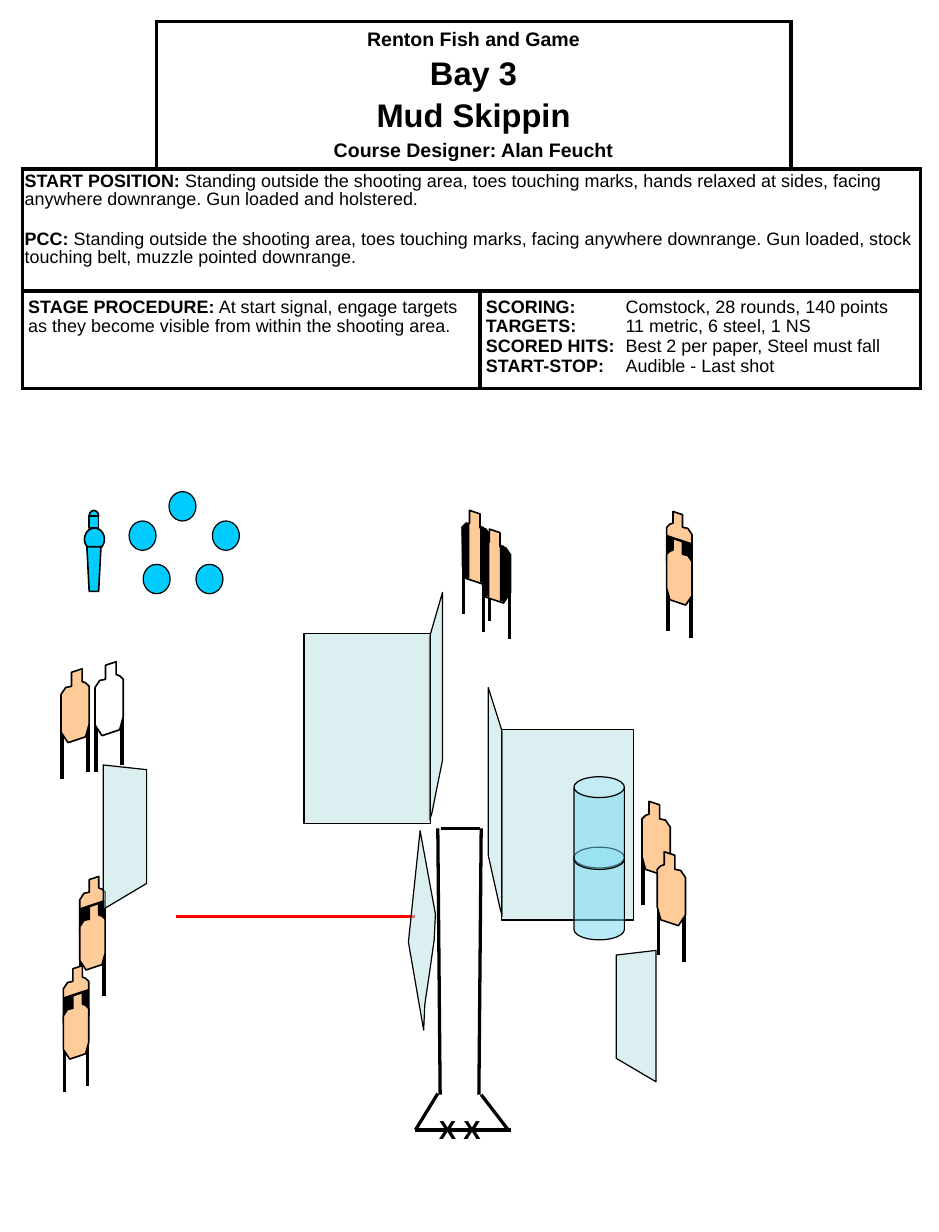
from typing import NamedTuple, Optional

from lxml import etree
from pptx import Presentation
from pptx import util as u
from pptx.dml.color import RGBColor
from pptx.enum import shapes, text
from pptx.oxml import ns

Inches = u.Inches
BLACK, TAN, WHITE, RED = "000000", "FFCC99", "FFFFFF", "FF0000"
STEEL, WALL, BARREL = "00CCFF", "BBE0E3", "73D9F1"


class Target(NamedTuple):
    left: float
    top: float
    mirrored: bool = False
    colour: str = TAN
    scale: float = 1
    legs: bool = True
    striped: bool = False
    banded: bool = False


BODY = [(.09, .03), (.18, 0), (.18, .11), (.21, .12), (.24, .15), (.24, .47),
        (.21, .58), (.06, .63), (0, .54), (0, .22), (.04, .16), (.09, .15)]
STRIPES = [
    [(0, .53), (.06, .62), (.09, .61), (.09, .13), (.06, .14), (0, .21)],
    [(.18, .11), (.21, .1), (.25, .14), (.24, .46), (.21, .57), (.18, .58)],
]
BAND = [(0, .3), (0, .54), (.06, .62), (.2, .58), (.24, .48), (.24, .22)]
LEGS = [[(.01, .51), (.01, .94)], [(.23, .44), (.23, .88)]]

deck = Presentation()
deck.slide_width, deck.slide_height = Inches(8), Inches(10.5)
page = deck.slides.add_slide(deck.slide_layouts[6])


def rgb(colour: str) -> RGBColor:
    return RGBColor.from_string(colour)


def paint(shape, colour: str, width: float, alpha: Optional[int] = None) -> None:
    shape.shadow.inherit = False
    shape.fill.solid()
    shape.fill.fore_color.rgb = rgb(colour)
    if alpha:
        tint = shape._element.spPr.find(ns.qn("a:solidFill"))[0]
        etree.SubElement(tint, ns.qn("a:alpha"), val=str(alpha * 1000))
    if width:
        shape.line.color.rgb = rgb(BLACK)
        shape.line.width = u.Pt(width)
    else:
        shape.line.fill.background()


def draw_outline(points: list, colour: str, width: float, alpha: Optional[int] = None) -> None:
    corners = [(Inches(x), Inches(y)) for x, y in points]
    builder = page.shapes.build_freeform(*corners[0], scale=1.0)
    builder.add_line_segments(corners[1:], close=True)
    paint(builder.convert_to_shape(), colour, width, alpha)


def draw_wall(*points: tuple) -> None:
    draw_outline(list(points), WALL, .75, 50)


def draw_preset(kind, left: float, top: float, width: float, height: float,
                colour: str, line: float, alpha: Optional[int] = None):
    shape = page.shapes.add_shape(kind, Inches(left), Inches(top), Inches(width), Inches(height))
    paint(shape, colour, line, alpha)
    return shape


def draw_line(start: tuple, end: tuple, width: float = 2, colour: str = BLACK) -> None:
    line = page.shapes.add_connector(
        shapes.MSO_CONNECTOR.STRAIGHT, *(Inches(n) for n in (*start, *end)))
    line.line.color.rgb = rgb(colour)
    line.line.width = u.Pt(width)
    etree.SubElement(line._element.spPr, ns.qn("a:effectLst"))


def draw_target(target: Target) -> None:
    def place(points: list) -> list:
        return [(target.left + target.scale * (.24 - x if target.mirrored else x),
                 target.top + target.scale * y) for x, y in points]

    if target.legs:
        for leg in LEGS:
            draw_line(*place(leg), 2.25)
    draw_outline(place(BODY), target.colour, 1)
    for patch in (STRIPES if target.striped else []) + ([BAND] if target.banded else []):
        draw_outline(place(patch), BLACK, 0)


def draw_stacked_target(left: float, top: float, mirrored: bool = False) -> None:
    draw_target(Target(left, top, mirrored, scale=.9, legs=False, banded=True))
    draw_target(Target(left, top + .23, mirrored, scale=.9))


def set_font(para, size: float, bold: Optional[bool] = None) -> None:
    para.font.name = "Arial"
    para.font.size = u.Pt(size)
    para.font.color.rgb = rgb(BLACK)
    if bold is not None:
        para.font.bold = bold


def border_cell(cell, sides: str) -> None:
    properties = cell._tc.get_or_add_tcPr()
    for index, side in enumerate("LRTB"):
        edge = etree.Element(ns.qn(f"a:ln{side}"), w=str(u.Pt(2.25)))
        if side in sides:
            fill = etree.SubElement(edge, ns.qn("a:solidFill"))
            etree.SubElement(fill, ns.qn("a:srgbClr"), val=BLACK)
        else:
            etree.SubElement(edge, ns.qn("a:noFill"))
        properties.insert(index, edge)


def write_labelled(cell, entries: list, gap: float = 0, spacing: Optional[float] = None,
                   tab: Optional[float] = None) -> None:
    for index, (label, body) in enumerate(entries):
        para = cell.text_frame.paragraphs[0] if index == 0 else cell.text_frame.add_paragraph()
        para.line_spacing = spacing
        if index and gap:
            para.space_before = u.Pt(gap)
        if tab:
            stops = etree.SubElement(para._p.get_or_add_pPr(), ns.qn("a:tabLst"))
            etree.SubElement(stops, ns.qn("a:tab"), pos=str(Inches(tab)), algn="l")
        set_font(para, 11)
        for words, bold in ((label, True), (("\t" if tab else " ") + body, False)):
            span = para.add_run()
            span.text = words
            span.font.bold = bold


def draw_briefing() -> None:
    table = page.shapes.add_table(3, 4, Inches(.19), Inches(.18), Inches(7.65), Inches(3.13)).table
    table.first_row = table.horz_banding = False
    for column, width in zip(table.columns, (1.14, 2.76, 2.65, 1.1)):
        column.width = Inches(width)
    for row, height in zip(table.rows, (1.26, 1.04, .83)):
        row.height = Inches(height)
    corners = {(0, 0): "RB", (0, 3): "LB"}
    for row in range(3):
        for column in range(4):
            cell = table.cell(row, column)
            cell.fill.solid()
            cell.fill.fore_color.rgb = rgb(WHITE)
            border_cell(cell, corners.get((row, column), "LRTB"))
            cell.margin_left = cell.margin_right = Inches(.02 if row == 1 else .05)
            cell.margin_top = cell.margin_bottom = Inches(.04 if row == 1 else .05)
    for first, last in (((0, 1), (0, 2)), ((1, 0), (1, 3)), ((2, 0), (2, 1)), ((2, 2), (2, 3))):
        table.cell(*first).merge(table.cell(*last))

    heading = table.cell(0, 1)
    heading.vertical_anchor = text.MSO_ANCHOR.MIDDLE
    titles = [("Renton Fish and Game", 12), ("Bay 3", 20), ("Mud Skippin", 20),
              ("Course Designer: Alan Feucht", 12)]
    for index, (words, size) in enumerate(titles):
        para = heading.text_frame.paragraphs[0] if index == 0 else heading.text_frame.add_paragraph()
        para.text = words
        para.alignment = text.PP_ALIGN.CENTER
        if index:
            para.space_before = u.Pt(3.3)
        set_font(para, size, True)
    write_labelled(table.cell(1, 0), [
        ("START POSITION:", "Standing outside the shooting area, toes touching marks, hands relaxed "
         "at sides, facing anywhere downrange. Gun loaded and holstered."),
        ("PCC:", "Standing outside the shooting area, toes touching marks, facing anywhere "
         "downrange. Gun loaded, stock touching belt, muzzle pointed downrange."),
    ], gap=13, spacing=.9)
    write_labelled(table.cell(2, 0), [
        ("STAGE PROCEDURE:", "At start signal, engage targets as they become visible from within "
         "the shooting area.")])
    write_labelled(table.cell(2, 2), [
        ("SCORING:", "Comstock, 28 rounds, 140 points"),
        ("TARGETS:", "11 metric, 6 steel, 1 NS"),
        ("SCORED HITS:", "Best 2 per paper, Steel must fall"),
        ("START-STOP:", "Audible - Last shot")], tab=1.19)


def draw_start_marks() -> None:
    box = page.shapes.add_textbox(Inches(3.64), Inches(9.44), Inches(.58), Inches(.37))
    box.text_frame.word_wrap = False
    para = box.text_frame.paragraphs[0]
    para.text = "X X"
    set_font(para, 16, True)


def draw_steel() -> None:
    oval = shapes.MSO_SHAPE.OVAL
    for left, top in ((1.44, 4.19), (1.81, 4.44), (1.1, 4.44), (1.67, 4.81), (1.22, 4.81)):
        draw_preset(oval, left, top, .23, .25, STEEL, .75)
    draw_preset(oval, .76, 4.35, .08, .09, STEEL, 1)
    draw_preset(oval, .72, 4.5, .17, .19, STEEL, 1)
    draw_outline([(.74, 4.66), (.86, 4.66), (.84, 5.04), (.76, 5.04)], STEEL, 1)
    draw_preset(shapes.MSO_SHAPE.RECTANGLE, .76, 4.4, .08, .1, STEEL, 1)


def main() -> None:
    draw_briefing()
    draw_start_marks()
    for left, top in ((3.94, 4.35), (4.11, 4.51)):
        draw_target(Target(left, top, mirrored=True, striped=True))
    draw_stacked_target(.68, 7.47)
    draw_steel()
    draw_wall((3.68, 6.93), (3.77, 6.48), (3.77, 5.05), (3.66, 5.43), (3.66, 6.99))
    draw_wall((3.67, 7.02), (2.59, 7.02), (2.59, 5.4), (3.67, 5.4))
    draw_wall((4.26, 7.74), (4.16, 7.29), (4.16, 5.86), (4.28, 6.24), (4.28, 7.81))
    draw_wall((4.27, 7.84), (5.4, 7.84), (5.4, 6.22), (4.27, 6.22))
    draw_wall((.88, 7.75), (.88, 6.52), (1.25, 6.56), (1.25, 7.53))
    draw_wall((5.59, 9.22), (5.59, 8.1), (5.25, 8.14), (5.25, 9.02))
    draw_stacked_target(5.68, 4.36, mirrored=True)
    draw_target(Target(.52, 5.7))
    draw_target(Target(.81, 5.64, colour=WHITE))
    draw_target(Target(5.47, 6.83, mirrored=True))
    draw_stacked_target(.54, 8.23)
    draw_target(Target(5.6, 7.26, mirrored=True))
    for start, end in (((3.73, 7.06), (3.75, 9.33)), ((4.1, 7.06), (4.08, 9.33)),
                       ((3.76, 7.06), (4.09, 7.06)), ((4.1, 9.33), (4.33, 9.63)),
                       ((3.73, 9.32), (3.54, 9.63)), ((3.54, 9.63), (4.35, 9.63))):
        draw_line(start, end)
    draw_line((1.5, 7.81), (3.54, 7.81), colour=RED)
    draw_wall((3.61, 8.78), (3.48, 8.03), (3.58, 7.08), (3.71, 7.79),
              (3.7, 8.01), (3.66, 8.29), (3.62, 8.56))
    for top in (7.22, 6.62):
        barrel = draw_preset(shapes.MSO_SHAPE.CAN, 4.89, top, .43, .79, BARREL, .75, 50)
        barrel.adjustments[0] = .413
    deck.save("out.pptx")


if __name__ == "__main__":
    main()
